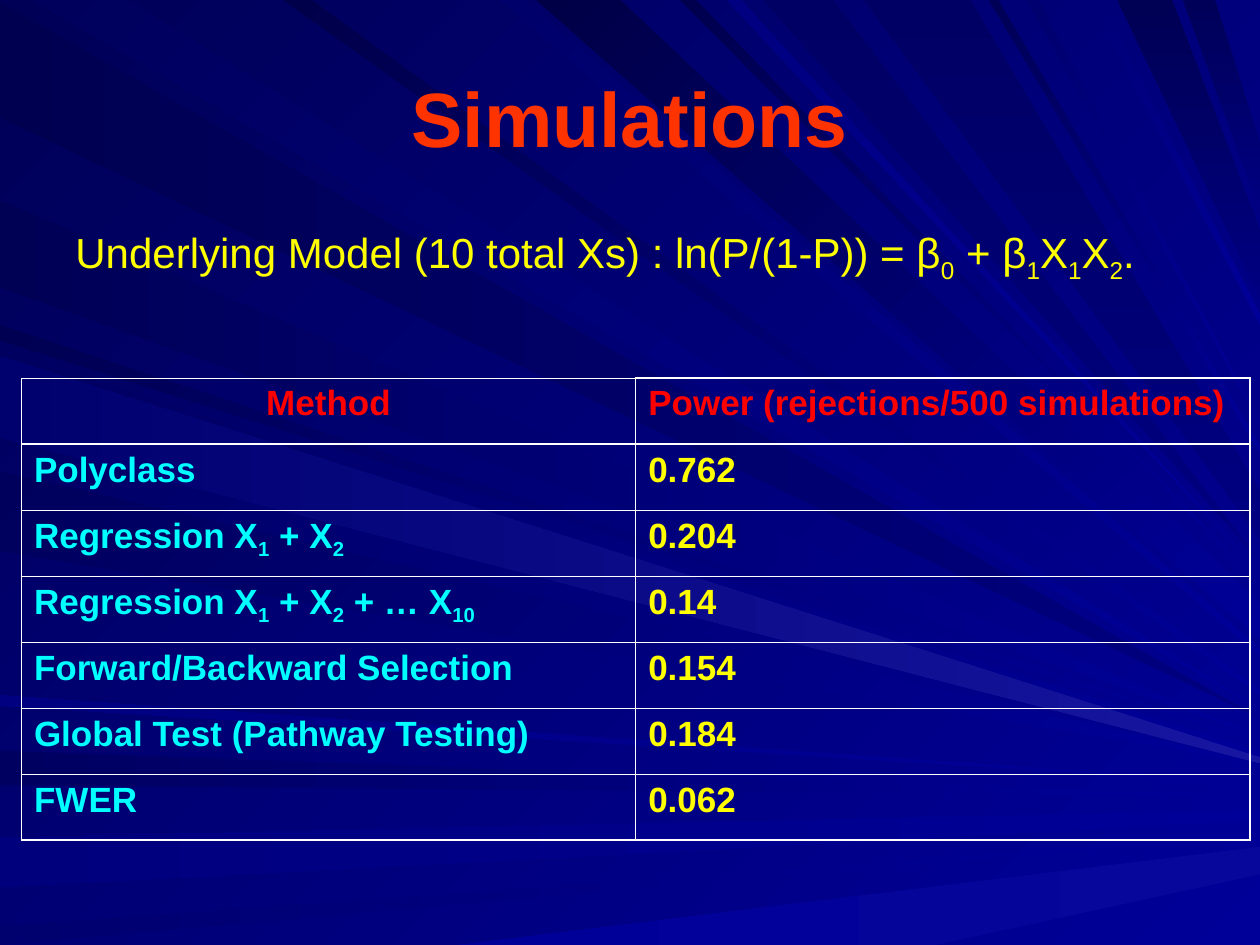
from pptx import Presentation
from pptx.dml.color import RGBColor
from pptx.enum.text import MSO_ANCHOR as Anchor, PP_ALIGN as Align
from pptx.oxml import parse_xml
from pptx.oxml.ns import nsdecls
from pptx.util import Inches, Pt

FONT = "Arial"
WIDTH, HEIGHT = 10, 7.5
WHITE, YELLOW, CYAN, RED, ORANGE = "FFFFFF", "FFFF00", "00FFFF", "FF0000", "FF3300"
BLUE, NAVY, GLOW = "000099", "000080", "1616A1"
THIN, MEDIUM, THICK = 0.45, 1.08, 1.47
FLAT, SLANT, STEEP = 180, 135, 90

RAYS = [
    ("left", (0.02, 0.93), (5.7,), NAVY, "000051", FLAT),
    ("top", (0.26, 1.01), (5.63,), BLUE, "00005C", SLANT),
    ("left", (5.96, 6.23), (6.32,), BLUE, "000060", FLAT),
    ("left", (6.65, 7.04), (6.43, 6.51), BLUE, "00007C", FLAT),
    ("left", (7.35, 7.5), (6.62,), BLUE, "00006E", FLAT),
    ("bottom", (3.64, 7.42), (6.72, 6.94), "07079B", BLUE, FLAT),
    ("left", (2.58, 2.7), (5.89,), BLUE, "000053", SLANT),
    ("left", (1.59, 2.28), (5.85,), BLUE, "000055", FLAT),
    ("top", (3.98, 4.16), (5.15, 5.21), BLUE, "00006A", SLANT),
    ("top", (4.26, 4.92), (4.79, 5.07), BLUE, "000046", SLANT),
    ("top", (5.4, 5.52), (4.63,), BLUE, "00004E", SLANT),
    ("top", (6.06, 6.61), (4.46,), NAVY, "000064", STEEP),
    ("top", (8.87, 9.3), (1.83, 2.37), NAVY, "000055", STEEP),
    ("top", (9.39, 9.64), (1.14, 1.67), NAVY, "000059", STEEP),
    ("left", (2.78, 3.42), (5.96, 6.02), BLUE, "000060", SLANT),
    ("left", (3.74, 4.37), (6.06,), BLUE, "00005C", SLANT),
    ("left", (5.52, 5.6), (6.22,), BLUE, "000081", FLAT),
    ("top", (2.25, 2.47), (5.47, 5.52), BLUE, "00004A", SLANT),
    ("top", (5.77, 5.88), (4.54,), BLUE, "000081", SLANT),
    ("top", (6.86, 7.7), (3.9, 4.28), NAVY, "000064", STEEP),
    ("top", (7.85, 7.92), (3.54, 3.6), BLUE, "000057", SLANT),
    ("top", (8.15, 8.24), (3.36,), BLUE, "00006E", SLANT),
    ("top", (8.65, 8.72), (2.49, 2.58), BLUE, "000078", SLANT),
    ("left", (2.83, 3.47), (6.01, 6.06), GLOW, "00006E", FLAT),
]

MODEL = "Underlying Model (10 total Xs) : ln(P/(1-P)) = β|0| + β|1|X|1|X|2|."
POWER_ROWS = [
    ("Method", "Power (rejections/500 simulations)"),
    ("Polyclass", "0.762"),
    ("Regression X|1| + X|2", "0.204"),
    ("Regression X|1| + X|2| + … X|10", "0.14"),
    ("Forward/Backward Selection", "0.154"),
    ("Global Test (Pathway Testing)", "0.184"),
    ("FWER", "0.062"),
]


def rgb(value):
    """Turn a hex string into a colour."""
    return RGBColor.from_string(value)


def paint(fill, near, far, angle):
    """Fill with a linear gradient between two colours."""
    fill.gradient()
    fill.gradient_angle = angle
    for stop, color in zip(fill.gradient_stops, (near, far)):
        stop.color.rgb = rgb(color)


def edge_point(edge, distance):
    """Give the point at a distance along an edge of the slide."""
    x, y = {
        "left": (0, distance),
        "right": (WIDTH, distance),
        "top": (distance, 0),
        "bottom": (distance, HEIGHT),
    }[edge]
    return Inches(x), Inches(y)


def add_ray(slide, edge, base, tips, near, far, angle):
    """Draw a light ray from its base on one edge to the right edge."""
    if edge == "top":
        base = base[::-1]
    start, *others = [edge_point(edge, distance) for distance in base]
    others += [edge_point("right", tip) for tip in reversed(tips)]
    builder = slide.shapes.build_freeform(*start)
    builder.add_line_segments(others, close=True)
    shape = builder.convert_to_shape()
    shape.shadow.inherit = False
    shape.line.fill.background()
    paint(shape.fill, near, far, angle)


def write(paragraph, text, size, color, bold=False, align=Align.LEFT):
    """Add runs to a paragraph; every second part between bars is a subscript."""
    paragraph.alignment = align
    for index, part in enumerate(text.split("|")):
        run = paragraph.add_run()
        run.text = part
        font = run.font
        font.name, font.size, font.bold = FONT, Pt(size), bold
        font.color.rgb = rgb(color)
        if index % 2:
            run._r.get_or_add_rPr().set("baseline", "-25000")


def add_title(slide, text):
    """Place the title in front of the rays."""
    title = slide.shapes.title
    slide.shapes.element.append(title.element)
    title.left, title.top = Inches(0.5), Inches(0.3)
    title.width, title.height = Inches(9), Inches(1.25)
    title.text_frame.vertical_anchor = Anchor.MIDDLE
    write(title.text_frame.paragraphs[0], text, 44, ORANGE, True, Align.CENTER)


def add_model(slide, text):
    """Add the line that states the model."""
    box = slide.shapes.add_textbox(Inches(0.5), Inches(1.75), Inches(8.83), Inches(0.67))
    box.text_frame.word_wrap = True
    write(box.text_frame.paragraphs[0], text, 24, YELLOW)


def set_borders(cell, widths):
    """Set white cell borders in the order left, right, top, bottom."""
    properties = cell._tc.get_or_add_tcPr()
    for side, width in zip("LRTB", widths):
        properties.append(parse_xml(
            f'<a:ln{side} {nsdecls("a")} w="{Pt(width)}"><a:solidFill>'
            f'<a:srgbClr val="{WHITE}"/></a:solidFill></a:ln{side}>'))


def border_widths(row, column, last_row):
    """Give the border widths of a cell: heavier frame and header rule."""
    left = MEDIUM if column == 0 and row > 0 else THIN
    right = MEDIUM if column == 1 else THIN
    top = {0: MEDIUM if column == 1 else THIN, 1: THICK}.get(row, THIN)
    bottom = {0: THICK, last_row: MEDIUM}.get(row, THIN)
    return left, right, top, bottom


def add_power_table(slide, rows):
    """Add the table of power by method."""
    table = slide.shapes.add_table(
        len(rows), 2, Inches(0.17), Inches(3), Inches(9.75), Inches(3.67)).table
    for row, texts in enumerate(rows):
        for column, text in enumerate(texts):
            cell = table.cell(row, column)
            set_borders(cell, border_widths(row, column, len(rows) - 1))
            cell.fill.background()
            color = RED if row == 0 else (CYAN, YELLOW)[column]
            align = Align.CENTER if row == column == 0 else Align.LEFT
            write(cell.text_frame.paragraphs[0], text, 20, color, True, align)


def main():
    """Build the slide and save it."""
    presentation = Presentation()
    presentation.slide_width, presentation.slide_height = Inches(WIDTH), Inches(HEIGHT)
    slide = presentation.slides.add_slide(presentation.slide_layouts[5])
    paint(slide.background.fill, BLUE, "000057", SLANT)
    for ray in RAYS:
        add_ray(slide, *ray)
    add_title(slide, "Simulations")
    add_model(slide, MODEL)
    add_power_table(slide, POWER_ROWS)
    presentation.save("out.pptx")


if __name__ == "__main__":
    main()
